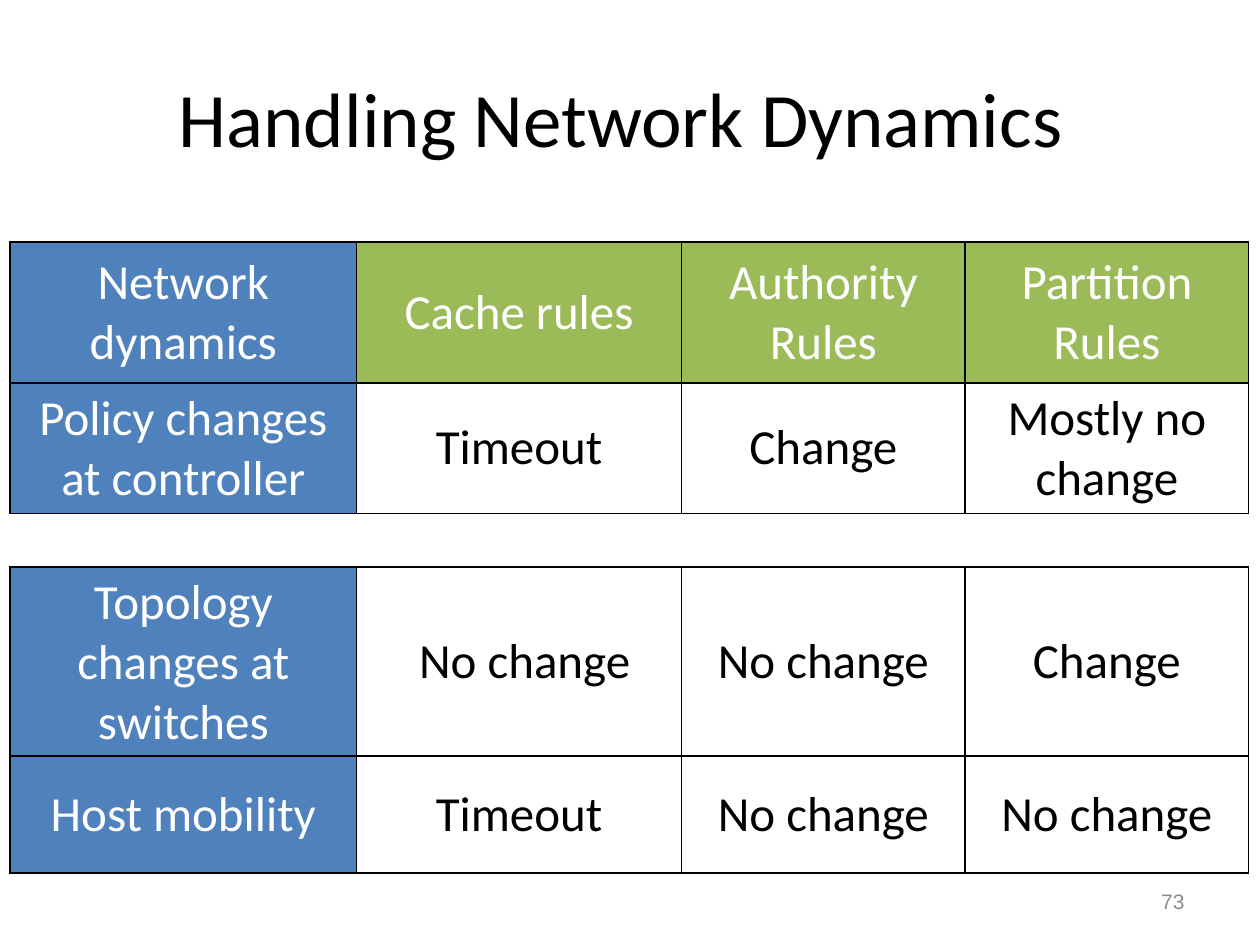
"""Build the slide on handling network dynamics."""
from lxml import etree
from pptx import Presentation
from pptx import util as u
from pptx.dml.color import RGBColor
from pptx.enum import text
from pptx.oxml import ns

TITLE = "Handling Network Dynamics "
PAGE = "73"
TABLES = [
    (1.92, 1.12, ["Network dynamics", "Cache rules", "Authority Rules", "Partition Rules"]),
    (3.04, 1.03, ["Policy changes at controller", "Timeout", "Change", "Mostly no change"]),
    (4.5, 1.5, ["Topology changes at switches", " No change", "No change", "Change"]),
    (6, 0.93, ["Host mobility", "Timeout", "No change", "No change"]),
]
LEFT = 0.08
COLUMNS = [2.75, 2.58, 2.25, 2.25]
THEME = {
    "font": "Calibri", "page_font": "Arial",
    "title": 44, "cell": 28, "page": 12,
    "black": "000000", "white": "FFFFFF", "gray": "8C8C8C",
    "blue": "4F81BD", "green": "9BBB59",
}


def style(p, size, color, align, font="font"):
    p.alignment = align
    p.font.name = THEME[font]
    p.font.size = u.Pt(THEME[size])
    p.font.color.rgb = RGBColor.from_string(THEME[color])


def add_text(s, words, box, *look):
    tf = s.shapes.add_textbox(*map(u.Inches, box)).text_frame
    tf.word_wrap = True
    tf.vertical_anchor = text.MSO_ANCHOR.MIDDLE
    tf.text = words
    style(tf.paragraphs[0], *look)


def add_borders(cell):
    props = cell._tc.get_or_add_tcPr()
    for i, side in enumerate(("lnL", "lnR", "lnT", "lnB")):
        line = etree.Element(ns.qn(f"a:{side}"), w=str(u.Pt(1)))
        fill = etree.SubElement(line, ns.qn("a:solidFill"))
        etree.SubElement(fill, ns.qn("a:srgbClr"), val=THEME["black"])
        props.insert(i, line)


def add_row_table(s, top, height, words, is_header):
    frame = s.shapes.add_table(1, len(COLUMNS), u.Inches(LEFT), u.Inches(top),
                               u.Inches(sum(COLUMNS)), u.Inches(height))
    table = frame.table
    for i, (width, word) in enumerate(zip(COLUMNS, words)):
        table.columns[i].width = u.Inches(width)
        cell = table.cell(0, i)
        cell.text = word
        cell.vertical_anchor = text.MSO_ANCHOR.MIDDLE
        fill = "blue" if i == 0 else "green" if is_header else "white"
        cell.fill.solid()
        cell.fill.fore_color.rgb = RGBColor.from_string(THEME[fill])
        color = "black" if fill == "white" else "white"
        style(cell.text_frame.paragraphs[0], "cell", color, text.PP_ALIGN.CENTER)
        add_borders(cell)


def main():
    prs = Presentation()
    prs.slide_width, prs.slide_height = u.Inches(10), u.Inches(7.5)
    s = prs.slides.add_slide(prs.slide_layouts[6])
    add_text(s, TITLE, (0.5, 0.3, 9, 1.25), "title", "black", text.PP_ALIGN.CENTER)
    add_text(s, PAGE, (7.17, 6.95, 2.33, 0.4), "page", "gray", text.PP_ALIGN.RIGHT, "page_font")
    for i, (top, height, words) in enumerate(TABLES):
        add_row_table(s, top, height, words, i == 0)
    prs.save("out.pptx")


if __name__ == "__main__":
    main()
